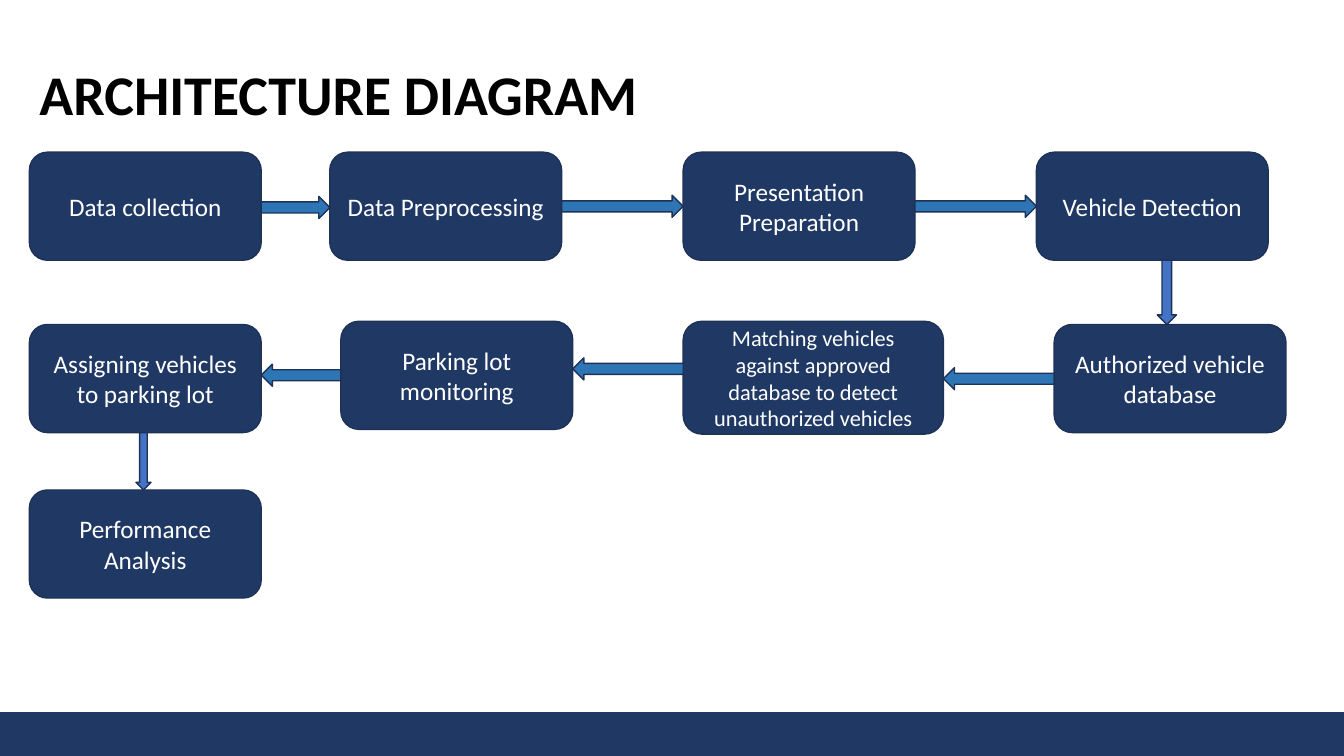
"""Build the architecture diagram slide of a parking management system."""
from dataclasses import dataclass

from pptx import Presentation
from pptx.dml.color import RGBColor
from pptx.enum.shapes import MSO_SHAPE as SHAPE
from pptx.enum.text import MSO_ANCHOR as ANCHOR, MSO_AUTO_SIZE as AUTO, PP_ALIGN as ALIGN
from pptx.shapes.autoshape import Shape
from pptx.slide import Slide
from pptx.text.text import TextFrame
from pptx.util import Pt

NAVY, EDGE, BLUE, INDIGO = "203864", "1E3256", "2E75B6", "4472C4"
BLACK, WHITE = "000000", "FFFFFF"
FONT = "Calibri"
WIDTH, HEIGHT = 960, 540
LEFT, TOP = 21, 108.7


@dataclass(frozen=True)
class Step:
    text: str
    x: float
    y: float
    w: float = 165.6
    h: float = 77.2
    size: float = 18


@dataclass(frozen=True)
class Arrow:
    start: Step
    end: Step
    centre: float
    thickness: float = 15.8


COLLECT = Step("Data collection", LEFT, TOP)
PREPROCESS = Step("Data Preprocessing", 235.6, TOP)
PREPARE = Step("Presentation Preparation", 488, TOP)
DETECT = Step("Vehicle Detection", 740.3, TOP)
DATABASE = Step("Authorized vehicle database", 753, 231.8)
MATCH = Step("Matching vehicles against approved database to detect unauthorized vehicles",
             488, 229.5, 185.9, 80.6, 16)
MONITOR = Step("Parking lot monitoring", 243.5, 229.5)
ASSIGN = Step("Assigning vehicles to parking lot", LEFT, 231.8)
ANALYSE = Step("Performance Analysis", LEFT, 350)

STEPS = [COLLECT, PREPROCESS, PREPARE, DETECT, DATABASE, MATCH, MONITOR, ASSIGN, ANALYSE]
ARROWS = [
    Arrow(COLLECT, PREPROCESS, 148.2),
    Arrow(PREPROCESS, PREPARE, 147.4),
    Arrow(PREPARE, DETECT, 147.4),
    Arrow(DETECT, DATABASE, 833.5, 13.7),
    Arrow(DATABASE, MATCH, 270.5),
    Arrow(MATCH, MONITOR, 263.5),
    Arrow(MONITOR, ASSIGN, 268),
    Arrow(ASSIGN, ANALYSE, 102.5, 10.8),
]


def rgb(value: str) -> RGBColor:
    return RGBColor.from_string(value)


def add_text(tf: TextFrame, text: str, size: float, color: str, align: ALIGN,
             bold: bool = False) -> None:
    tf.word_wrap = True
    tf.auto_size = AUTO.NONE
    tf.vertical_anchor = ANCHOR.MIDDLE
    p = tf.paragraphs[0]
    p.alignment = align
    r = p.add_run()
    r.text = text
    r.font.name, r.font.size, r.font.bold = FONT, Pt(size), bold
    r.font.color.rgb = rgb(color)


def add_box(s: Slide, kind: SHAPE, x: float, y: float, w: float, h: float,
            fill: str, line: str = EDGE) -> Shape:
    sp = s.shapes.add_shape(kind, Pt(x), Pt(y), Pt(w), Pt(h))
    sp.shadow.inherit = False
    sp.fill.solid()
    sp.fill.fore_color.rgb = rgb(fill)
    sp.line.color.rgb = rgb(line)
    sp.line.width = Pt(1)
    return sp


def add_step(s: Slide, step: Step) -> None:
    sp = add_box(s, SHAPE.ROUNDED_RECTANGLE, step.x, step.y, step.w, step.h, NAVY)
    add_text(sp.text_frame, step.text, step.size, WHITE, ALIGN.CENTER)


def add_arrow(s: Slide, arrow: Arrow) -> None:
    a, b, t = arrow.start, arrow.end, arrow.thickness
    edge = arrow.centre - t / 2
    if b.y > a.y + a.h:
        top = a.y + a.h
        add_box(s, SHAPE.DOWN_ARROW, edge, top, t, b.y - top, INDIGO)
        return
    first, second = sorted((a, b), key=lambda step: step.x)
    x = first.x + first.w
    sp = add_box(s, SHAPE.RIGHT_ARROW, x, edge, second.x - x, t, BLUE)
    if b.x < a.x:
        sp.rotation = 180


def main() -> None:
    prs = Presentation()
    prs.slide_width, prs.slide_height = Pt(WIDTH), Pt(HEIGHT)
    s = prs.slides.add_slide(prs.slide_layouts[5])
    title = s.shapes.title
    title.left, title.top, title.width, title.height = Pt(LEFT), Pt(39), Pt(505.5), Pt(55.7)
    add_text(title.text_frame, "ARCHITECTURE DIAGRAM", 40, BLACK, ALIGN.JUSTIFY, True)
    add_box(s, SHAPE.RECTANGLE, 0, 509, WIDTH, 31, NAVY, NAVY)
    for step in STEPS:
        add_step(s, step)
    for arrow in ARROWS:
        add_arrow(s, arrow)
    prs.save("out.pptx")


if __name__ == "__main__":
    main()
